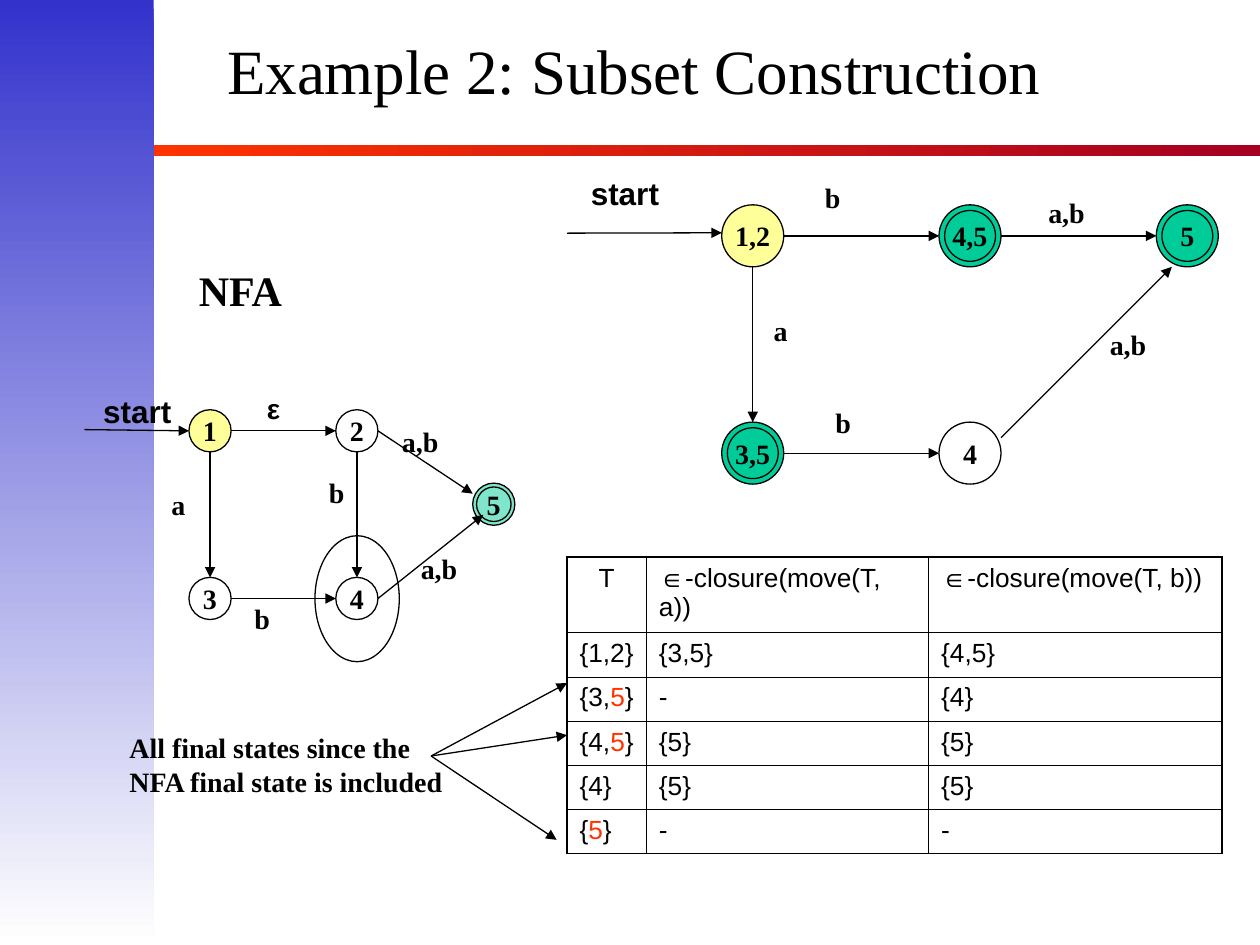
from dataclasses import dataclass

from lxml.etree import SubElement
from pptx import Presentation
from pptx.dml.color import RGBColor
from pptx.enum.shapes import MSO_CONNECTOR as Connector, MSO_SHAPE as Preset
from pptx.enum.text import MSO_ANCHOR as Anchor, MSO_AUTO_SIZE as AutoSize, PP_ALIGN as Align
from pptx.oxml.ns import qn
from pptx.util import Cm, Pt

COLORS = {
    "black": "000000", "white": "FFFFFF", "blue": "3333CC", "orange": "FF3300",
    "crimson": "A50021", "yellow": "FFFF99", "green": "00CC99",
}
SERIF, SANS = "Times New Roman", "Arial"
LINE_WIDTH, INNER_BORDER, OUTER_BORDER = 0.75, 0.45, 1.08
RING_SCALE = 0.82


@dataclass
class State:
    text: str
    left: float
    top: float
    size: float
    fill: str | None = "white"
    final: bool = False
    opacity: int = 100

    def at(self, across: float, down: float) -> tuple[float, float]:
        half = self.size / 2
        return self.left + half * (1 + across), self.top + half * (1 + down)


@dataclass
class Arrow:
    start: tuple[float, float]
    end: tuple[float, float]


@dataclass
class Label:
    text: str
    left: float
    top: float
    width: float
    height: float = 0.94
    size: int = 16
    font: str = SERIF
    align: Align | None = Align.CENTER


def rgb(name: str) -> RGBColor:
    return RGBColor.from_string(COLORS[name])


def write_text(frame, text: str, *, size: float = 16, font: str = SERIF, bold: bool = False,
               align=None, line_spacing=None, highlight: str = "") -> None:
    for index, line in enumerate(text.split("\n")):
        para = frame.add_paragraph() if index else frame.paragraphs[0]
        para.alignment = align
        para.line_spacing = line_spacing
        parts = line.partition(highlight) if highlight else (line,)
        for part in filter(None, parts):
            span = para.add_run()
            span.text = part
            span.font.size, span.font.name, span.font.bold = Pt(size), font, bold
            span.font.color.rgb = rgb("orange" if part == highlight else "black")


def add_gradient(slide, box: tuple, first: str, last: str, angle: float) -> None:
    shape = slide.shapes.add_shape(Preset.RECTANGLE, *map(Cm, box))
    shape.shadow.inherit = False
    shape.line.fill.background()
    shape.fill.gradient()
    shape.fill.gradient_angle = angle
    for stop, color in zip(shape.fill.gradient_stops, (first, last)):
        stop.color.rgb = rgb(color)


def add_oval(slide, left: float, top: float, width: float, height: float, fill: str | None = None):
    oval = slide.shapes.add_shape(Preset.OVAL, Cm(left), Cm(top), Cm(width), Cm(height))
    oval.shadow.inherit = False
    oval.line.color.rgb = rgb("black")
    oval.line.width = Pt(LINE_WIDTH)
    if fill:
        oval.fill.solid()
        oval.fill.fore_color.rgb = rgb(fill)
    else:
        oval.fill.background()
    return oval


def add_state(slide, state: State) -> None:
    oval = add_oval(slide, state.left, state.top, state.size, state.size, state.fill)
    if state.opacity < 100:
        color = oval.fill._xPr.find(qn("a:solidFill"))[0]
        SubElement(color, qn("a:alpha"), val=str(state.opacity * 1000))
    frame = oval.text_frame
    frame.word_wrap = False
    frame.vertical_anchor = Anchor.MIDDLE
    write_text(frame, state.text, bold=True, align=Align.CENTER)
    if state.final:
        ring = state.size * RING_SCALE
        inset = (state.size - ring) / 2
        add_oval(slide, state.left + inset, state.top + inset, ring, ring)


def add_arrow(slide, arrow: Arrow) -> None:
    line = slide.shapes.add_connector(Connector.STRAIGHT, *map(Cm, arrow.start + arrow.end))
    line.line.color.rgb = rgb("black")
    line.line.width = Pt(LINE_WIDTH)
    SubElement(line.line._get_or_add_ln(), qn("a:tailEnd"), type="triangle")
    SubElement(line._element.spPr, qn("a:effectLst"))


def add_label(slide, label: Label) -> None:
    box = slide.shapes.add_textbox(Cm(label.left), Cm(label.top), Cm(label.width), Cm(label.height))
    box.text_frame.word_wrap = False
    box.text_frame.auto_size = AutoSize.SHAPE_TO_FIT_TEXT
    write_text(box.text_frame, label.text, size=label.size, font=label.font, bold=True,
               align=label.align)


def set_borders(cell, widths: dict[str, float]) -> None:
    properties = cell._tc.get_or_add_tcPr()
    for side, width in widths.items():
        border = SubElement(properties, qn(f"a:ln{side}"), w=str(Pt(width)))
        SubElement(SubElement(border, qn("a:solidFill")), qn("a:srgbClr"), val=COLORS["black"])


def add_closure_table(slide, rows: list[tuple[str, ...]]) -> None:
    widths, header_height, row_height = (1.6, 5.69, 5.92), 1.52, 0.89
    last_row, last_column = len(rows) - 1, len(widths) - 1
    table = slide.shapes.add_table(len(rows), len(widths), Cm(11.43), Cm(11.23), Cm(sum(widths)),
                                   Cm(header_height + row_height * last_row)).table
    table.first_row = table.horz_banding = False
    for column, width in zip(table.columns, widths):
        column.width = Cm(width)
    for r, texts in enumerate(rows):
        table.rows[r].height = Cm(row_height if r else header_height)
        for c, text in enumerate(texts):
            cell = table.cell(r, c)
            edges = {"L": c == 0, "R": c == last_column, "T": r == 0, "B": r == last_row}
            set_borders(cell, {side: OUTER_BORDER if outer else INNER_BORDER
                               for side, outer in edges.items()})
            cell.fill.background()
            write_text(cell.text_frame, text, size=15, font=SANS,
                       align=Align.CENTER if r == c == 0 else None,
                       highlight="5" if c == 0 else "")


def main() -> None:
    deck = Presentation()
    deck.slide_width, deck.slide_height = Cm(25.4), Cm(19.05)
    page = deck.slides.add_slide(deck.slide_layouts[5])
    add_gradient(page, (3.05, 2.92, 22.35, 0.23), "orange", "crimson", 0)
    add_gradient(page, (0, 0, 3.1, 19.05), "blue", "white", 270)

    title = page.shapes.title
    title.left, title.top, title.width, title.height = map(Cm, (0.84, 0.64, 23.88, 1.78))
    title.text_frame.auto_size = AutoSize.NONE
    title.text_frame.vertical_anchor = Anchor.MIDDLE
    write_text(title.text_frame, "Example 2: Subset Construction", size=36,
               align=Align.CENTER, line_spacing=0.8)

    small, large, step = 0.85, 1.25, 4.38
    left, top = 14.55, 4.13
    n1 = State("1", 3.81, 8.26, small, "yellow")
    n2 = State("2", 6.77, 8.26, small)
    n3 = State("3", 3.81, 11.64, small)
    n4 = State("4", 6.77, 11.64, small)
    n5 = State("5", 9.53, 9.74, small, "green", final=True, opacity=50)
    d12 = State("1,2", left, top, large, "yellow")
    d45 = State("4,5", left + step, top, large, "green", final=True)
    d5 = State("5", left + 2 * step, top, large, "green", final=True)
    d35 = State("3,5", left, top + step, large, "green", final=True)
    d4 = State("4", left + step, top + step, large, None)
    for state in (n1, n2, n3, n4, n5, d12, d45, d5, d35, d4):
        add_state(page, state)
    add_oval(page, 6.35, 10.8, 1.7, 2.54)

    for source, target in ((n1, n2), (n3, n4), (d12, d45), (d45, d5), (d35, d4)):
        add_arrow(page, Arrow(source.at(1, 0), target.at(-1, 0)))
    for source, target in ((n1, n3), (n2, n4), (d12, d35)):
        add_arrow(page, Arrow(source.at(0, 1), target.at(0, -1)))
    note_tip = (8.69, 15.24)
    for arrow in (
        Arrow(n4.at(1, 0), n5.at(-0.5, 0.5)),
        Arrow(n2.at(1, 0), n5.at(-1, -0.5)),
        Arrow(d4.at(1, -0.5), d5.at(-0.5, 1)),
        Arrow((1.7, 8.66), n1.at(-1, 0)),
        Arrow((11.43, 4.7), d12.at(-1, -0.1)),
        Arrow(note_tip, (11.43, 13.77)),
        Arrow(note_tip, (11.43, 14.82)),
        Arrow(note_tip, (11.22, 16.93)),
    ):
        add_arrow(page, arrow)

    for label in (
        Label("ε", 5.13, 7.77, 0.74, font=SANS),
        Label("b", 4.88, 12.01, 0.81),
        Label("a", 3.2, 9.7, 0.79),
        Label("b", 6.38, 9.47, 0.81),
        Label("a,b", 7.85, 8.43, 1.24),
        Label("a,b", 8.23, 11, 1.24),
        Label("a,b", 20.88, 3.81, 1.24),
        Label("a,b", 22.12, 6.48, 1.24),
        Label("b", 16.38, 3.51, 0.81),
        Label("a", 15.34, 6.2, 0.79),
        Label("b", 16.59, 8.05, 0.81),
        Label("start", 1.83, 7.77, 1.88, 1.02, 18, SANS, None),
        Label("start", 11.66, 3.38, 1.88, 1.02, 18, SANS, None),
        Label("NFA", 3.76, 5.21, 2.24, 1.27, 24, align=None),
        Label("All final states since the\nNFA final state is included", 2.36, 14.61, 6.88, 1.63,
              align=None),
    ):
        add_label(page, label)

    add_closure_table(page, [
        ("T", "∈-closure(move(T, a))", "∈-closure(move(T, b))"),
        ("{1,2}", "{3,5}", "{4,5}"),
        ("{3,5}", "-", "{4}"),
        ("{4,5}", "{5}", "{5}"),
        ("{4}", "{5}", "{5}"),
        ("{5}", "-", "-"),
    ])
    deck.save("out.pptx")


if __name__ == "__main__":
    main()
